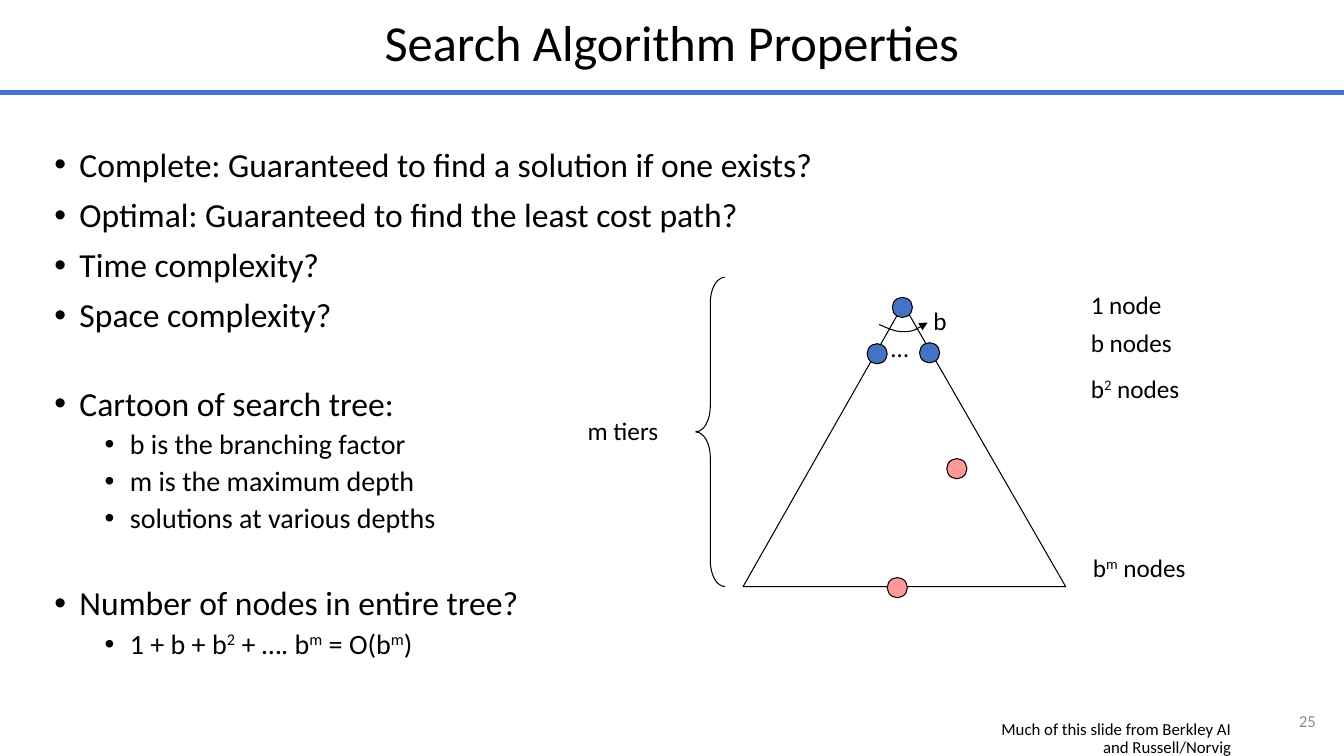
from pptx import Presentation
from pptx.util import Inches, Pt
from pptx.dml.color import RGBColor
from pptx.enum.shapes import MSO_SHAPE as Shape, MSO_CONNECTOR as Connector
from pptx.enum.text import PP_ALIGN as Align, MSO_ANCHOR as Anchor
from pptx.oxml.ns import qn
from lxml.etree import SubElement

# Content: ^ switches superscript on and off
TITLE = "Search Algorithm Properties"
CREDIT = "Much of this slide from Berkley AI and Russell/Norvig"
PAGE_NUMBER = "25"
SECTION_GAP = 27
BULLETS = [  # level, text, extra space before
    (0, "Complete: Guaranteed to find a solution if one exists?", 0),
    (0, "Optimal: Guaranteed to find the least cost path?", 0),
    (0, "Time complexity?", 0),
    (0, "Space complexity?", 0),
    (0, "Cartoon of search tree:", SECTION_GAP),
    (1, "b is the branching factor", 0),
    (1, "m is the maximum depth", 0),
    (1, "solutions at various depths", 0),
    (0, "Number of nodes in entire tree?", SECTION_GAP),
    (1, "1 + b + b^2^ + …. b^m^ = O(b^m^)", 0),
]
LEVELS = [  # size, space before, left indent
    (24, 10, 0.25),
    (20, 5, 0.75),
]
HANGING = 0.25
LABELS = [  # text, left, top, width
    ("…", 8.74, 3.25, 0.3),
    ("b", 9.16, 2.98, 0.33),
    ("1 node", 10.72, 2.82, 1.22),
    ("b nodes", 10.72, 3.2, 1.22),
    ("b^2^ nodes", 10.72, 3.65, 1.22),
    ("b^m^ nodes", 10.74, 5.43, 1.6),
    ("m tiers", 5.73, 4.07, 1.38),
]
BLUE, PINK, BLACK, GREY = "4472C4", "FF9999", "000000", "8C8C8C"
NODE_SIZE = 0.2
TREE_NODES = [(8.85, 2.95), (8.6, 3.41), (9.12, 3.4)]
SOLUTION_NODES = [(8.8, 5.73), (9.39, 4.55)]
TRIANGLE = [(7.37, 5.82), (10.57, 5.82), (8.96, 3.02)]
BRANCH_CURVE = [(8.72, 3.22), (8.81, 3.26), (8.9, 3.3), (8.98, 3.29),
                (9.06, 3.29), (9.13, 3.24), (9.2, 3.2)]
BRACE = (6.9, 2.75, 0.29, 3.07)
RULE_TOP = 0.92

presentation = Presentation()
presentation.slide_width, presentation.slide_height = Inches(13.33), Inches(7.5)
slide = presentation.slides.add_slide(presentation.slide_layouts[6])
shapes = slide.shapes


def color(hex_value):
    return RGBColor.from_string(hex_value)


def inches(values):
    return [Inches(value) for value in values]


def write(paragraph, text, size, hex_value=BLACK, **formats):
    for name, value in formats.items():
        setattr(paragraph, name, value)
    for index, part in enumerate(text.split("^")):
        if not part:
            continue
        run = paragraph.add_run()
        run.text = part
        for name, value in {"name": "Calibri", "size": Pt(size)}.items():
            setattr(run.font, name, value)
        run.font.color.rgb = color(hex_value)
        if index % 2:
            run.font._element.set("baseline", "30000")


def add_text_frame(box, anchor=Anchor.TOP):
    frame = shapes.add_textbox(*inches(box)).text_frame
    frame.word_wrap = True
    frame.vertical_anchor = anchor
    return frame


def add_text(text, box, size, hex_value=BLACK, anchor=Anchor.TOP, **formats):
    frame = add_text_frame(box, anchor)
    write(frame.paragraphs[0], text, size, hex_value, **formats)


def add_bullet(paragraph, left):
    properties = paragraph._p.get_or_add_pPr()
    properties.set("marL", str(Inches(left)))
    properties.set("indent", str(-Inches(HANGING)))
    SubElement(properties, qn("a:buFont")).set("typeface", "Arial")
    SubElement(properties, qn("a:buChar")).set("char", "•")


def outline(shape, fill=None):
    shape.shadow.inherit = False
    if fill:
        shape.fill.solid()
        shape.fill.fore_color.rgb = color(fill)
    else:
        shape.fill.background()
    shape.line.color.rgb = color(BLACK)
    shape.line.width = Pt(0.75)


def add_outline(points, close):
    start, *rest = [inches(point) for point in points]
    builder = shapes.build_freeform(*start)
    builder.add_line_segments(rest, close=close)
    shape = builder.convert_to_shape()
    outline(shape)
    return shape


def add_nodes(positions, fill):
    for left, top in positions:
        box = inches((left, top, NODE_SIZE, NODE_SIZE))
        outline(shapes.add_shape(Shape.OVAL, *box), fill)


# Title and bullets
add_text(TITLE, (0, -0.02, 13.33, 0.94), 36, anchor=Anchor.MIDDLE,
         alignment=Align.CENTER, line_spacing=0.9)
add_text(PAGE_NUMBER, (12.47, 6.95, 0.68, 0.4), 12, GREY,
         anchor=Anchor.MIDDLE, alignment=Align.RIGHT)

body = add_text_frame((0.44, 1.42, 12.44, 5.17))
for index, (level, text, gap) in enumerate(BULLETS):
    size, before, left = LEVELS[level]
    paragraph = body.add_paragraph() if index else body.paragraphs[0]
    add_bullet(paragraph, left)
    write(paragraph, text, size, level=level, line_spacing=0.9,
          space_before=Pt(before + gap if index else 0))

# Search tree
add_outline(TRIANGLE, close=True)
add_nodes(TREE_NODES, BLUE)

# Branching arrow: every three straight segments become one cubic curve
arrow = add_outline(BRANCH_CURVE, close=False)
curve = next(arrow._element.iter(qn("a:path")))
segments = curve.findall(qn("a:lnTo"))
for first in range(0, len(segments), 3):
    cubic = SubElement(curve, qn("a:cubicBezTo"))
    for segment in segments[first:first + 3]:
        cubic.append(segment[0])
        curve.remove(segment)
SubElement(arrow.line._get_or_add_ln(), qn("a:tailEnd")).set("type", "triangle")

add_nodes(SOLUTION_NODES, PINK)
brace = shapes.add_shape(Shape.LEFT_BRACE, *inches(BRACE))
brace.adjustments[0] = 0.884
outline(brace)
for text, left, top, width in LABELS:
    add_text(text, (left, top, width, 0.4), 18)

# Title rule and credit
rule = shapes.add_connector(Connector.STRAIGHT,
                            *inches((0, RULE_TOP, 13.33, RULE_TOP)))
rule.line.color.rgb = color(BLUE)
rule.line.width = Pt(3.75)
SubElement(rule._element.spPr, qn("a:effectLst"))
add_text(CREDIT, (9.62, 7.1, 2.69, 0.25), 12,
         alignment=Align.RIGHT, line_spacing=0.9)

presentation.save("out.pptx")
